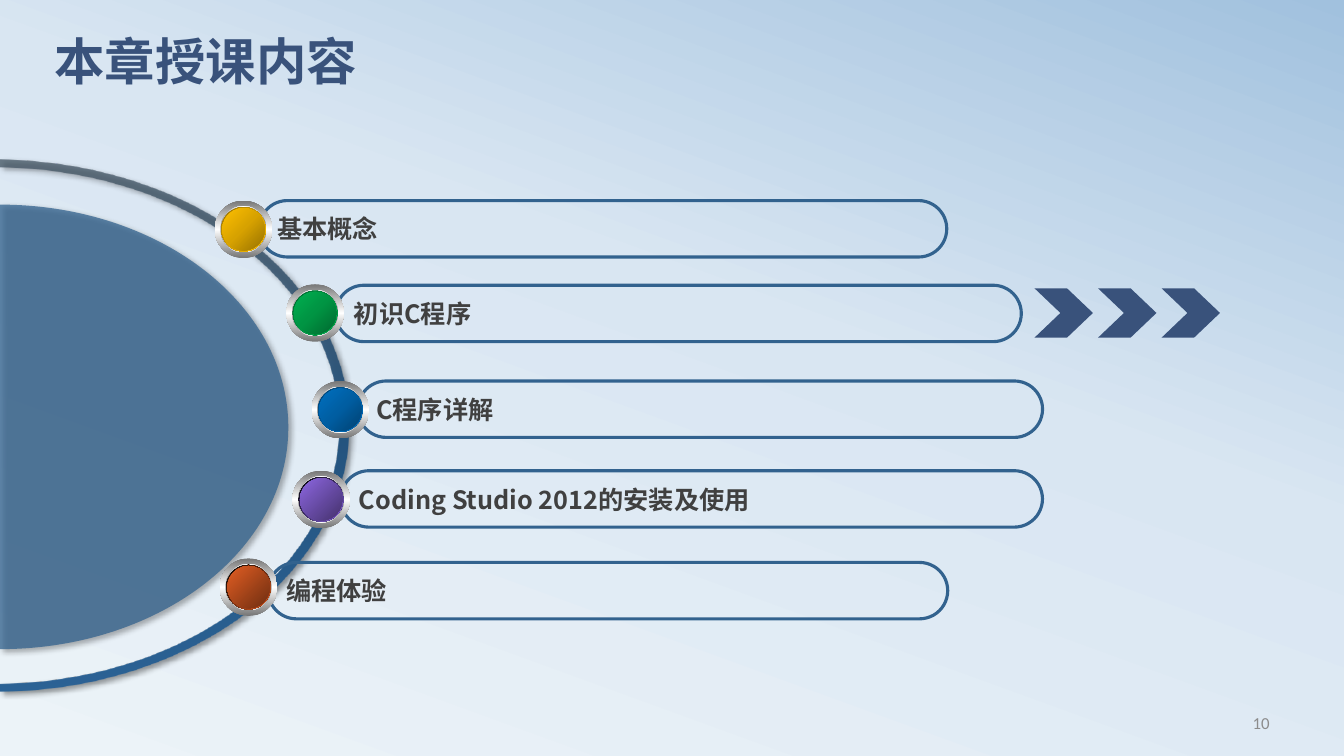
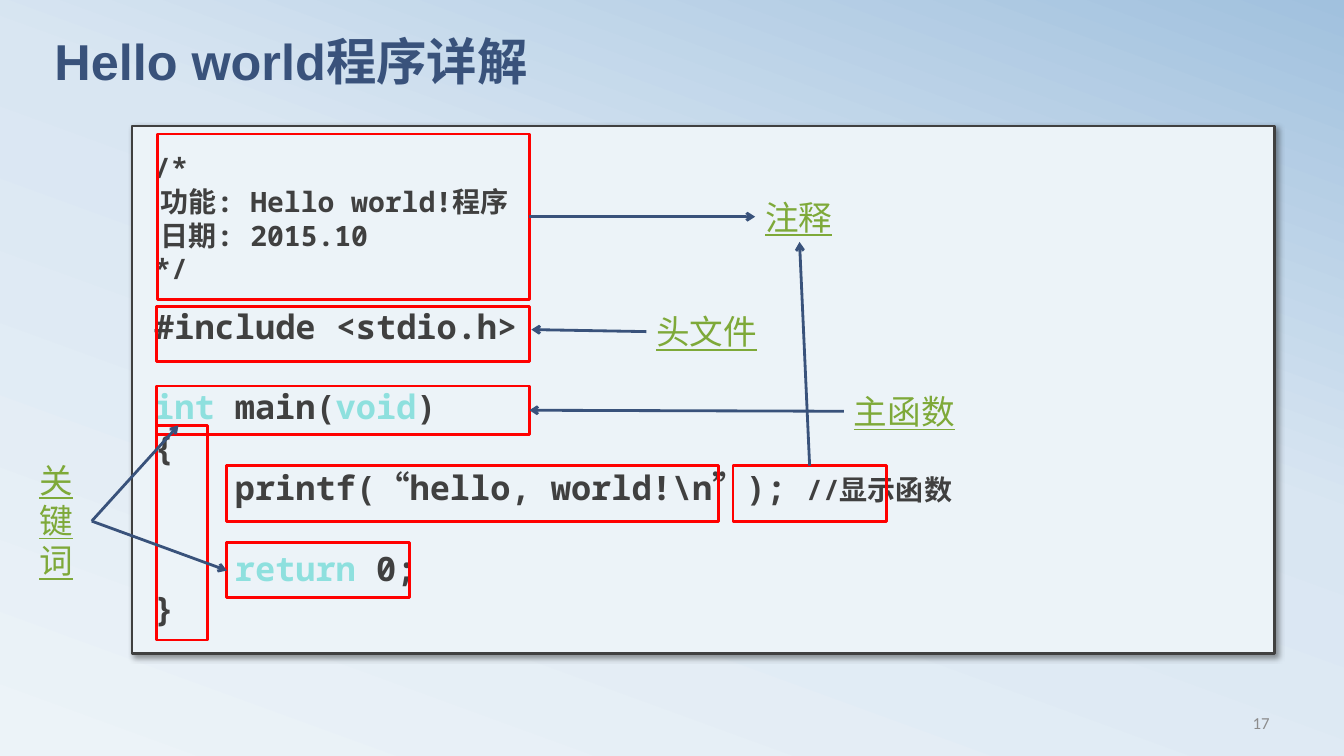
from lxml import etree
from pptx import Presentation
from pptx.dml.color import RGBColor
from pptx.enum.shapes import MSO_CONNECTOR, MSO_SHAPE
from pptx.enum.text import MSO_ANCHOR, PP_ALIGN
from pptx.oxml.ns import qn
from pptx.util import Inches, Pt

RECT, ROUND = MSO_SHAPE.RECTANGLE, MSO_SHAPE.ROUNDED_RECTANGLE
OVAL, CHEVRON = MSO_SHAPE.OVAL, MSO_SHAPE.CHEVRON
STRAIGHT = MSO_CONNECTOR.STRAIGHT
TOP, MIDDLE = MSO_ANCHOR.TOP, MSO_ANCHOR.MIDDLE
LEFT, RIGHT = PP_ALIGN.LEFT, PP_ALIGN.RIGHT

COLORS = {
    "navy": "39527B", "blue": "32628E", "text": "404040", "grey": "8C8C8C",
    "panel": "ECF3F8", "red": "FF0000", "green": "7EA939", "keyword": "8EE0DE",
    "shadow": "000000",
}
CJK, MONO = "Noto Sans CJK SC", "Noto Sans Mono"

BACKGROUND = [(0, "ECF3F8"), (58, "D9E6F2"), (100, "A1C1DE")]
RING = [(0, "445462", 75), (50, "24537D"), (100, "2B6295")]
RING_PATH = [
    [(0, 1.66)],
    [(1.86, 1.68), (3.36, 2.82), (3.36, 4.22)],
    [(3.36, 5.62), (1.86, 6.76), (0, 6.78)],
    [(0, 6.86)],
    [(1.92, 6.84), (3.46, 5.66), (3.46, 4.22)],
    [(3.46, 2.78), (1.92, 1.61), (0, 1.58)],
]
DISC_PATH = [
    [(0, 2.03)],
    [(1.58, 2.03), (2.86, 3.02), (2.86, 4.24)],
    [(2.86, 5.46), (1.58, 6.44), (0, 6.44)],
]

BAR_HEIGHT = 0.56
TOPICS = [
    ("基本概念", (2.57, 1.99, 6.82), (2.13, 1.99),
     ["977200", "D7A200", "FFC000"], ["FFC000", "D7A200", "977200"]),
    ("初识C程序", (3.33, 2.83, 6.8), (2.84, 2.82),
     ["00682F", "009443", "00B050"], ["00B050", "009443", "00682F"]),
    ("C程序详解", (3.55, 3.78, 6.79), (3.09, 3.78),
     ["004272", "005EA2", "0070C0"], ["0070C0", "005EA2", "004272"]),
    ("Coding Studio 2012的安装及使用", (3.38, 4.67, 6.96), (2.9, 4.67),
     ["000000", "8D67E1"], ["8D67E1", "45326D"]),
    ("编程体验", (2.66, 5.58, 6.74), (2.18, 5.54),
     ["000000", "E35E23"], ["E35E23", "6E2E11"]),
]
BALL = 0.57
OUTER_RIM = ["767676", "FFFFFF", "767676"]
INNER_RIM = ["A2A2A2", "FFFFFF", "A2A2A2"]

CODE = [
    (20, 0, 0, [("/*", "text")]),
    (20, 0, 0, [(" 功能: Hello world!程序", "text")]),
    (20, 0, 0, [(" 日期: 2015.10", "text")]),
    (20, 0, 0, [("*/", "text")]),
    (24, 14.5, 0, [("#include <stdio.h>", "text")]),
    (24, 28.8, 0, [("int", "keyword"), (" main(", "text"),
                   ("void", "keyword"), (")", "text")]),
    (24, 0, 0, [("{", "text")]),
    (24, 0, 0.8, [("printf(“hello, world!\\n”); ", "text"),
                  ("//显示函数", "text", 20)]),
    (24, 28.8, 0.8, [("return", "keyword"), (" 0;", "text")]),
    (24, 0, 0, [("}", "text")]),
]
FRAMES = [
    (1.56, 1.33, 3.69, 1.64), (1.55, 3.04, 3.7, 0.55), (1.55, 3.83, 3.7, 0.48),
    (1.55, 4.22, 0.51, 2.13), (2.25, 4.62, 4.88, 0.55),
    (7.27, 4.62, 1.52, 0.55), (2.25, 5.38, 1.81, 0.55),
]
LABELS = [
    ("注释", (7.49, 1.9, 0.88, 0.5), False),
    ("头文件", (6.41, 3.04, 1.21, 0.5), False),
    ("主函数", (8.37, 3.83, 1.21, 0.5), False),
    ("关键词", (0.29, 4.51, 0.62, 1.31), True),
]
ARROWS = [
    ((5.25, 2.15), (7.49, 2.15)), ((8.03, 4.62), (7.93, 2.4)),
    ((6.41, 3.29), (5.27, 3.27)), ((8.37, 4.08), (5.25, 4.07)),
    ((0.91, 5.17), (1.77, 4.22)), ((0.91, 5.17), (2.25, 5.66)),
]


def rgb(name):
    return RGBColor.from_string(COLORS.get(name, name))


def add_color(parent, value, alpha=100):
    color = etree.SubElement(parent, qn("a:srgbClr"), val=value)
    if alpha < 100:
        etree.SubElement(color, qn("a:alpha"), val=str(alpha * 1000))


def gradient(fill, holder, stops, angle):
    fill.solid()
    fill.fore_color.rgb = rgb(stops[0][1])
    grad = etree.Element(qn("a:gradFill"), rotWithShape="1")
    stop_list = etree.SubElement(grad, qn("a:gsLst"))
    for pos, *color in stops:
        add_color(etree.SubElement(stop_list, qn("a:gs"), pos=str(pos * 1000)), *color)
    etree.SubElement(grad, qn("a:lin"), ang=str(angle * 60000), scaled="0")
    holder.replace(holder.find(qn("a:solidFill")), grad)


def spread(colors):
    return [(100 * i // (len(colors) - 1), c) for i, c in enumerate(colors)]


def put(p, text, size=18, color="text", font=CJK, bold=False, underline=False,
        align=LEFT):
    p.alignment = align
    r = p.add_run()
    r.text = text
    r.font.size, r.font.name = Pt(size), font
    r.font.bold, r.font.underline = bold, underline
    r.font.color.rgb = rgb(color)
    rpr = r.font._element
    rpr.set("lang", "zh-CN")
    rpr.find(qn("a:latin")).addnext(etree.Element(qn("a:ea"), typeface=CJK))


def style(sp, fill=None, line=None, width=2, shadow=False):
    sp.shadow.inherit = False
    if fill:
        sp.fill.solid()
        sp.fill.fore_color.rgb = rgb(fill)
    else:
        sp.fill.background()
    if line:
        sp.line.color.rgb = rgb(line)
        sp.line.width = Pt(width)
    else:
        sp.line.fill.background()
    if shadow:
        effects = sp._element.spPr.find(qn("a:effectLst"))
        outer = etree.SubElement(
            effects, qn("a:outerShdw"), blurRad=str(Pt(4)), dist=str(Pt(3)),
            dir=str(45 * 60000), algn="tl", rotWithShape="0")
        add_color(outer, COLORS["shadow"], 40)
    return sp


def add_box(s, kind, box, **fmt):
    return style(s.shapes.add_shape(kind, *map(Inches, box)), **fmt)


def add_label(s, text, box, wrap=True, anchor=TOP, **fmt):
    tf = s.shapes.add_textbox(*map(Inches, box)).text_frame
    tf.word_wrap, tf.vertical_anchor = wrap, anchor
    put(tf.paragraphs[0], text, **fmt)


def add_slide(prs, title, font, number):
    s = prs.slides.add_slide(prs.slide_layouts[5])
    sp = s.shapes.title
    sp.left, sp.top, sp.width, sp.height = map(Inches, (0.44, 0.36, 12, 0.94))
    sp.text_frame.vertical_anchor = TOP
    p = sp.text_frame.paragraphs[0]
    p.line_spacing = 0.8
    put(p, title, size=36, color="navy", font=font, bold=True)
    add_label(s, number, (9.58, 6.97, 3.11, 0.4), anchor=MIDDLE, size=12,
              color="grey", font="Calibri", align=RIGHT)
    return s


def add_outline(s, segments, fill):
    points = [(Inches(x), Inches(y)) for segment in segments for x, y in segment]
    builder = s.shapes.build_freeform(*points[0], scale=1.0)
    builder.add_line_segments(points[1:], close=True)
    sp = builder.convert_to_shape()
    steps = iter(list(sp._element.iter(qn("a:lnTo"))))
    for segment in segments[1:]:
        parts = [next(steps) for _ in segment]
        if len(parts) == 3:
            curve = etree.Element(qn("a:cubicBezTo"))
            parts[0].addprevious(curve)
            for part in parts:
                curve.append(part[0])
                part.getparent().remove(part)
    return style(sp, fill=fill, shadow=True)


def add_ball(s, x, y, rim, core):
    layers = [(BALL, OUTER_RIM, 90), (0.46, INNER_RIM, 0), (0.44, rim, 45), (0.42, core, 45)]
    for size, colors, angle in layers:
        gap = (BALL - size) / 2
        sp = add_box(s, OVAL, (x + gap, y + gap, size, size))
        gradient(sp.fill, sp._element.spPr, spread(colors), angle)


def add_arrow(s, start, end):
    line = s.shapes.add_connector(STRAIGHT, *map(Inches, start + end))
    line.line.color.rgb = rgb("navy")
    line.line.width = Pt(2)
    etree.SubElement(line.line._get_or_add_ln(), qn("a:tailEnd"), type="arrow")
    etree.SubElement(line._element.spPr, qn("a:effectLst"))


def build_contents(prs):
    s = add_slide(prs, "本章授课内容", "Calibri", "10")
    ring = add_outline(s, RING_PATH, "blue")
    gradient(ring.fill, ring._element.spPr, RING, 90)
    disc = add_outline(s, DISC_PATH, "blue")
    solid = disc._element.spPr.find(qn("a:solidFill"))
    solid.clear()
    add_color(solid, COLORS["blue"], 75)
    for text, (x, y, width), *_ in reversed(TOPICS):
        bar = add_box(s, ROUND, (x, y, width, BAR_HEIGHT), line="blue", width=2.25)
        bar.adjustments[0] = 0.5
        bar.text_frame.word_wrap = False
        bar.text_frame.vertical_anchor = MIDDLE
        put(bar.text_frame.paragraphs[0], text, bold=True)
    for _, _, (x, y), rim, core in TOPICS:
        add_ball(s, x, y, rim, core)
    for i in range(3):
        chevron = add_box(s, CHEVRON, (10.26 + 0.63 * i, 2.86, 0.58, 0.49), fill="navy")
        chevron.adjustments[0] = 0.525


def build_code(prs):
    s = add_slide(prs, "Hello world程序详解", "Arial", "17")
    panel = add_box(s, RECT, (1.31, 1.25, 11.33, 5.23), fill="panel", line="text", shadow=True)
    tf = panel.text_frame
    tf.word_wrap, tf.vertical_anchor = False, MIDDLE
    tf.margin_left = Inches(0.22)
    for i, (size, before, indent, runs) in enumerate(CODE):
        p = tf.add_paragraph() if i else tf.paragraphs[0]
        p.line_spacing, p.space_before = Pt(size * 1.2), Pt(before)
        p._p.get_or_add_pPr().set("marL", str(Inches(indent)))
        for text, color, *own_size in runs:
            put(p, text, size=own_size[0] if own_size else size, color=color,
                font=MONO, bold=True)
    for box in FRAMES:
        add_box(s, RECT, box, line="red")
    for text, box, wrap in LABELS:
        add_label(s, text, box, wrap=wrap, size=24, color="green", underline=True)
    for start, end in ARROWS:
        add_arrow(s, start, end)


def main():
    prs = Presentation()
    prs.slide_width, prs.slide_height = Inches(13.33), Inches(7.5)
    master = prs.slide_master
    fill = master.background.fill
    gradient(fill, master._element.find(".//" + qn("p:bgPr")), BACKGROUND, 290)
    build_contents(prs)
    build_code(prs)
    prs.save("out.pptx")


if __name__ == "__main__":
    main()
